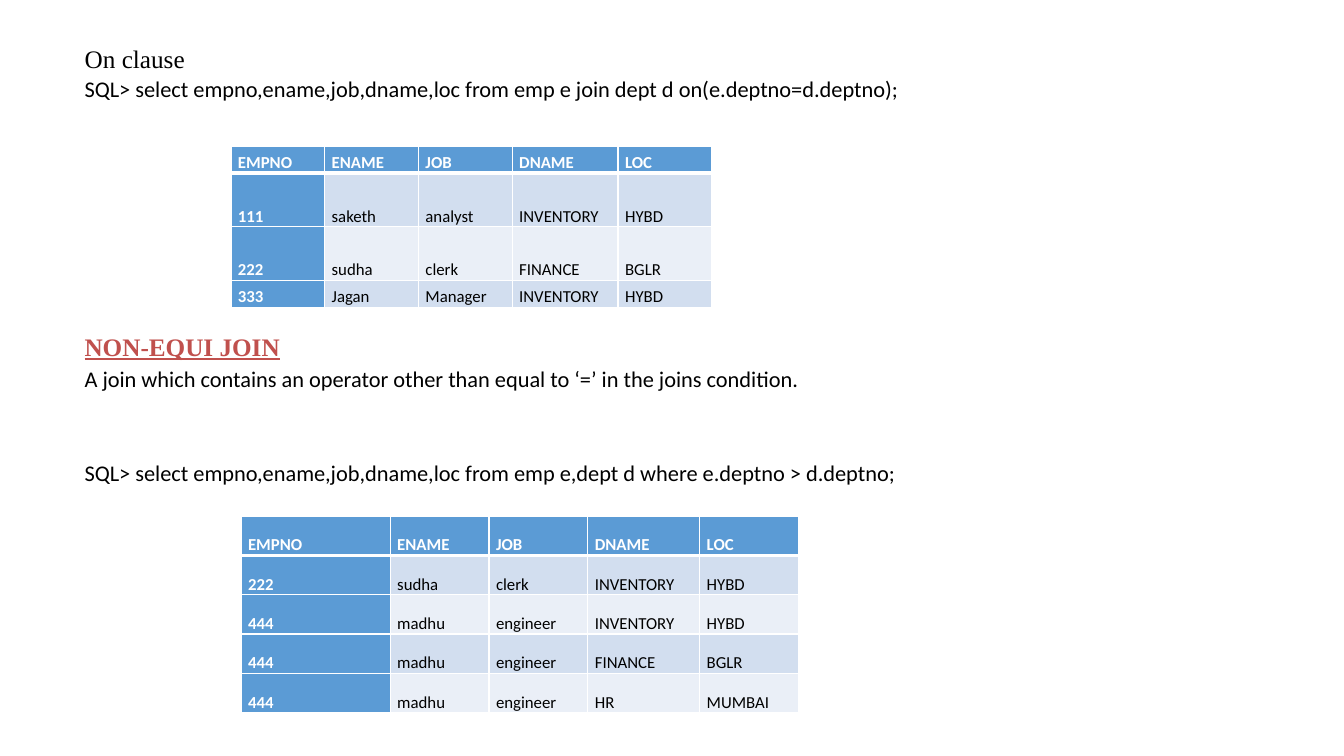
import lxml.etree
import pptx
import pptx.dml.color
import pptx.enum.text
import pptx.oxml.ns
import pptx.util

Inches = pptx.util.Inches
Pt = pptx.util.Pt

HEADER_FILL = "5B9BD5"
BAND_FILLS = ["D2DEEF", "EAEFF7"]
HEADINGS = ["EMPNO", "ENAME", "JOB", "DNAME", "LOC"]


def rgb(value):
    """Return the colour for a hex string."""
    return pptx.dml.color.RGBColor.from_string(value)


def add_run(p, text, size, color="000000", font="Calibri", bold=False, underline=False):
    """Append a formatted run to a paragraph at the slide's line spacing."""
    p.line_spacing = 1.15
    r = p.add_run()
    r.text = text
    r.font.name = font
    r.font.size = Pt(size)
    r.font.bold = bold
    r.font.underline = underline
    r.font.color.rgb = rgb(color)


def prepare_frame(sp):
    """Set wrapping and top anchoring, and return the text frame."""
    tf = sp.text_frame
    tf.word_wrap = True
    tf.auto_size = pptx.enum.text.MSO_AUTO_SIZE.NONE
    tf.vertical_anchor = pptx.enum.text.MSO_ANCHOR.TOP
    return tf


def add_title(s, text, left, top, width, height):
    """Place and format the title placeholder."""
    sp = s.shapes.title
    sp.left, sp.top, sp.width, sp.height = map(Inches, (left, top, width, height))
    p = prepare_frame(sp).paragraphs[0]
    p.alignment = pptx.enum.text.PP_ALIGN.LEFT
    add_run(p, text, 18, font="Times New Roman")


def add_text(s, left, top, width, height):
    """Add an empty text box and return its text frame."""
    return prepare_frame(s.shapes.add_textbox(*map(Inches, (left, top, width, height))))


def add_border(cell, side, width):
    """Draw a white line on one side of a cell."""
    tc_pr = cell._tc.get_or_add_tcPr()
    qn = pptx.oxml.ns.qn
    ln = lxml.etree.SubElement(tc_pr, qn(f"a:ln{side}"), w=str(Pt(width)))
    fill = lxml.etree.SubElement(ln, qn("a:solidFill"))
    lxml.etree.SubElement(fill, qn("a:srgbClr"), val="FFFFFF")


def format_cell(cell, text, row, col):
    """Fill, border and label a cell according to its place in the table."""
    heading = row == 0 or col == 0
    thick_side = {0: "B", 1: "T"}.get(row)
    for side in "LRTB":
        add_border(cell, side, 3 if side == thick_side else 1)
    cell.fill.solid()
    cell.fill.fore_color.rgb = rgb(HEADER_FILL if heading else BAND_FILLS[(row - 1) % 2])
    cell.margin_left = cell.margin_right = Inches(0.07)
    cell.margin_top = cell.margin_bottom = 0
    cell.vertical_anchor = pptx.enum.text.MSO_ANCHOR.BOTTOM
    color = "FFFFFF" if heading else "000000"
    add_run(cell.text_frame.paragraphs[0], text, 12, color, bold=heading)


def add_result(s, left, top, widths, heights, records):
    """Add a query result as a table with a heading row and column."""
    rows = [HEADINGS] + records
    frame = s.shapes.add_table(len(rows), len(widths), Inches(left), Inches(top),
                               Inches(sum(widths)), Inches(sum(heights)))
    table = frame.table
    table.first_col = True
    for column, width in zip(table.columns, widths):
        column.width = Inches(width)
    for i, (values, height) in enumerate(zip(rows, heights)):
        table.rows[i].height = Inches(height)
        for j, value in enumerate(values):
            format_cell(table.cell(i, j), value, i, j)


def main():
    """Build the slide on join clauses."""
    prs = pptx.Presentation()
    prs.slide_width, prs.slide_height = Inches(13.33), Inches(7.5)
    s = prs.slides.add_slide(prs.slide_layouts[5])

    add_title(s, "On clause", 0.74, 0.33, 8.38, 0.43)
    tf = add_text(s, 0.74, 0.66, 8.38, 0.42)
    add_run(tf.paragraphs[0], "SQL> select empno,ename,job,dname,loc from emp e "
            "join dept d on(e.deptno=d.deptno);", 16)

    tf = add_text(s, 0.74, 3.19, 8.38, 2)
    add_run(tf.paragraphs[0], "NON-EQUI JOIN", 18, "C0504D", "Times New Roman", True, True)
    add_run(tf.add_paragraph(), "A join which contains an operator other than equal to "
            "‘=’ in the joins condition.", 16)
    p = tf.add_paragraph()
    p.space_before = Pt(45)
    add_run(p, "SQL> select empno,ename,job,dname,loc from emp e,dept d "
            "where e.deptno > d.deptno;", 16)
    for p in tf.paragraphs:
        p.alignment = pptx.enum.text.PP_ALIGN.JUSTIFY

    add_result(s, 2.39, 5.12, [1.48, 0.98, 0.98, 1.11, 0.98], [0.39] * 5, [
        ["222", "sudha", "clerk", "INVENTORY", "HYBD"],
        ["444", "madhu", "engineer", "INVENTORY", "HYBD"],
        ["444", "madhu", "engineer", "FINANCE", "BGLR"],
        ["444", "madhu", "engineer", "HR", "MUMBAI"],
    ])
    add_result(s, 2.29, 1.45, [0.93, 0.93, 0.93, 1.05, 0.93], [0.27, 0.53, 0.53, 0.27], [
        ["111", "saketh", "analyst", "INVENTORY", "HYBD"],
        ["222", "sudha", "clerk", "FINANCE", "BGLR"],
        ["333", "Jagan", "Manager", "INVENTORY", "HYBD"],
    ])
    prs.save("out.pptx")


if __name__ == "__main__":
    main()
